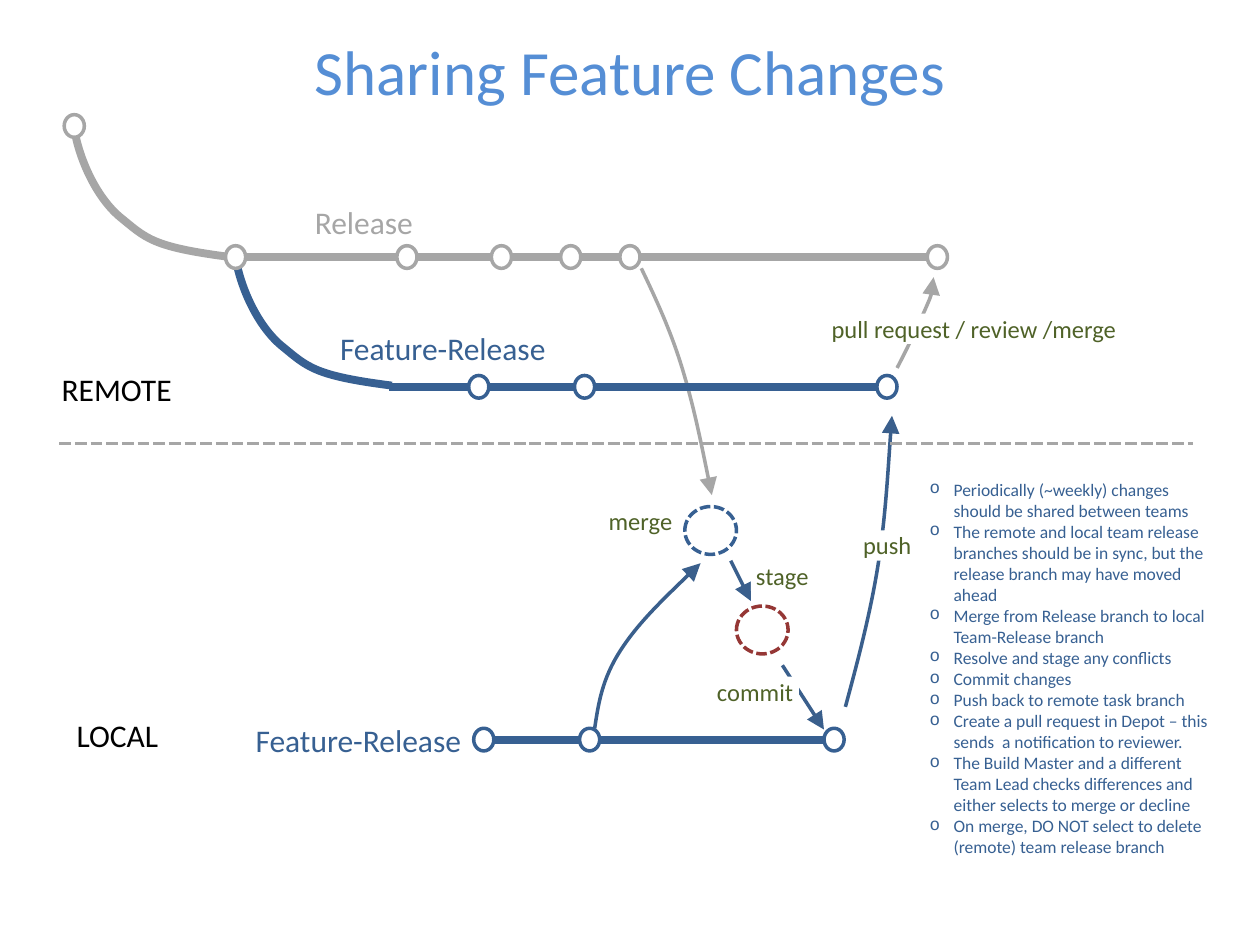
from lxml.etree import SubElement
from pptx import Presentation
from pptx.dml.color import RGBColor
from pptx.enum.dml import MSO_LINE
from pptx.enum.shapes import MSO_CONNECTOR, MSO_SHAPE
from pptx.enum.text import MSO_ANCHOR, PP_ALIGN
from pptx.oxml.ns import qn
from pptx.util import Inches, Pt

FONT = "Calibri"
GRAY, BLUE, ARROW_BLUE, RED = "A6A6A6", "376092", "3A5F8C", "953735"
GREEN, TITLE_BLUE, BLACK, WHITE = "4F6228", "558ED5", "000000", "FFFFFF"

# Content: positions in inches
TITLE = "Sharing Feature Changes"
RELEASE_Y, FEATURE_Y, LOCAL_Y = 2.04, 3.07, 5.87
BRANCHES = [  # y, line spans, commit centres, colour
    (RELEASE_Y, [(1.83, 4.92), (5.08, 7.36)],
     [1.87, 3.23, 3.98, 4.53, 5.0, 7.44], GRAY),
    (FEATURE_Y, [(3.09, 3.85), (3.88, 4.56), (4.72, 6.96)],
     [3.8, 4.64, 7.04], BLUE),
    (LOCAL_Y, [(3.92, 4.6), (4.76, 6.54)], [3.84, 4.68, 6.62], BLUE),
]
FORKS = [(0.59, 1.02, GRAY), (1.87, RELEASE_Y, BLUE)]
FORK_CURVE = [(0, 0), (0.03, 0.21), (0.16, 0.53), (0.36, 0.7),
              (0.57, 0.87), (0.61, 0.94), (1.24, 1.02)]
ARROWS = [  # colour, start point, then Bezier triples or one end point
    (GRAY, [(5.09, 2.13), (5.21, 2.38), (5.33, 2.64), (5.42, 2.94),
            (5.51, 3.24), (5.58, 3.59), (5.65, 3.93)]),
    (ARROW_BLUE, [(4.72, 5.78), (4.75, 5.58), (4.78, 5.39), (4.92, 5.17),
                  (5.06, 4.95), (5.31, 4.71), (5.56, 4.47)]),
    (ARROW_BLUE, [(5.8, 4.45), (5.96, 4.77)]),
    (ARROW_BLUE, [(6.21, 5.28), (6.54, 5.79)]),
    (GRAY, [(7.12, 2.92), (7.23, 2.71), (7.33, 2.49), (7.38, 2.37),
            (7.42, 2.25), (7.42, 2.23), (7.41, 2.2)]),
    (ARROW_BLUE, [(6.71, 5.61), (6.81, 5.24), (6.91, 4.86), (6.97, 4.48),
                  (7.03, 4.09), (7.05, 3.69), (7.08, 3.3)]),
]
STATES = [(5.64, 4.21, BLUE), (6.05, 5.0, RED)]
STEP_LABELS = [
    ("merge", 4.79, 4.02, 0.59), ("stage", 5.96, 4.45, 0.5),
    ("commit", 5.65, 5.37, 0.69), ("push", 6.81, 4.21, 0.47),
    ("pull request / review /merge", 6.56, 2.49, 2.36),
]
BRANCH_LABELS = [
    ("REMOTE", 0.39, 2.89, 1.08, BLACK), ("LOCAL", 0.51, 5.63, 0.86, BLACK),
    ("Release", 2.4, 1.56, 0.99, GRAY),
    ("Feature-Release", 2.6, 2.56, 1.85, BLUE),
    ("Feature-Release", 1.93, 5.67, 1.85, BLUE),
]
NOTES = [
    "Periodically (~weekly) changes should be shared between teams",
    "The remote and local team release branches should be in sync, "
    "but the release branch may have moved ahead",
    "Merge from Release branch to local Team-Release branch",
    "Resolve and stage any conflicts",
    "Commit changes",
    "Push back to remote task branch",
    "Create a pull request in Depot – this sends  a notification to reviewer.",
    "The Build Master and a different Team Lead checks differences and "
    "either selects to merge or decline",
    "On merge, DO NOT select to delete (remote) team release branch",
]


def color(value):
    return RGBColor.from_string(value)


def style_line(shape, line_color, width, dashed=False, arrow=False):
    shape.line.color.rgb = color(line_color)
    shape.line.width = Pt(width)
    if dashed:
        shape.line.dash_style = MSO_LINE.SQUARE_DOT
        # Short dashes
        shape.line._ln.find(qn("a:prstDash")).set("val", "sysDash")
    if arrow:
        SubElement(shape.line._ln, qn("a:tailEnd"),
                   type="triangle", w="lg", len="lg")


def add_line(start, end, line_color, width, dashed=False):
    ends = [Inches(value) for value in (*start, *end)]
    connector = shapes.add_connector(MSO_CONNECTOR.STRAIGHT, *ends)
    style_line(connector, line_color, width, dashed)
    SubElement(connector._element.spPr, qn("a:effectLst"))


def add_curve(points, line_color, width, arrow=False):
    vertices = [(Inches(x), Inches(y)) for x, y in points]
    builder = shapes.build_freeform(*vertices[0])
    builder.add_line_segments(vertices[1:], close=False)
    curve = builder.convert_to_shape()
    # Turn each three line segments into one Bezier segment
    outline = next(curve._element.iter(qn("a:moveTo"))).getparent()
    segments = outline.findall(qn("a:lnTo"))
    for first in range(0, len(segments) - 2, 3):
        bezier = SubElement(outline, qn("a:cubicBezTo"))
        for segment in segments[first:first + 3]:
            bezier.append(segment[0])
            outline.remove(segment)
    curve.shadow.inherit = False
    curve.fill.background()
    style_line(curve, line_color, width, arrow=arrow)


def add_circle(x, y, width, height, line_color, dashed=False):
    circle = shapes.add_shape(
        MSO_SHAPE.OVAL, Inches(x - width / 2), Inches(y - height / 2),
        Inches(width), Inches(height))
    circle.shadow.inherit = False
    circle.fill.solid()
    circle.fill.fore_color.rgb = color(WHITE)
    style_line(circle, line_color, 2, dashed)


def style_text(paragraph, size, text_color):
    for run in paragraph.runs:
        run.font.name, run.font.size = FONT, Pt(size)
        run.font.color.rgb = color(text_color)


def add_text(text, x, y, width, height, size, text_color):
    box = shapes.add_textbox(*map(Inches, (x, y, width, height)))
    box.text_frame.text = text
    for paragraph in box.text_frame.paragraphs:
        style_text(paragraph, size, text_color)
    return box


presentation = Presentation()
presentation.slide_width, presentation.slide_height = Inches(10), Inches(7.5)
slide = presentation.slides.add_slide(presentation.slide_layouts[5])
shapes = slide.shapes

# Title
title = shapes.title
title.left, title.top, title.width, title.height = map(
    Inches, (0.5, 0.21, 9, 1.25))
title.text_frame.text = TITLE
title.text_frame.vertical_anchor = MSO_ANCHOR.TOP
title.text_frame.margin_top = Inches(0.05)
title.text_frame.paragraphs[0].alignment = PP_ALIGN.CENTER
style_text(title.text_frame.paragraphs[0], 36, TITLE_BLUE)

# Arrows between branches and states
for arrow_color, points in ARROWS:
    add_curve(points, arrow_color, 2, arrow=True)
for x, y, state_color in STATES:
    add_circle(x, y, 0.41, 0.38, state_color, dashed=True)

# Divider, branches and commits
add_line((0.47, 3.52), (9.47, 3.52), GRAY, 2.25, dashed=True)
for x, y, fork_color in FORKS:
    add_curve([(x + dx, y + dy) for dx, dy in FORK_CURVE], fork_color, 4.5)
for y, spans, _, branch_color in BRANCHES:
    for start, end in spans:
        add_line((start, y), (end, y), branch_color, 4.5)
commit_nodes = [(FORKS[0][0], 1.0, GRAY)] + [
    (x, y, branch_color) for y, _, commits, branch_color in BRANCHES
    for x in commits]
for x, y, node_color in commit_nodes:
    add_circle(x, y, 0.16, 0.18, node_color)

# Labels
for text, x, y, width, text_color in BRANCH_LABELS:
    add_text(text, x, y, width, 0.4, 18, text_color)
for text, x, y, width in STEP_LABELS:
    label = add_text(text, x, y, width, 0.24, 14, GREEN)
    label.fill.solid()
    label.fill.fore_color.rgb = color(WHITE)
    frame = label.text_frame
    frame.margin_left = frame.margin_right = Inches(0.04)
    frame.margin_top = frame.margin_bottom = 0

# Bulleted notes
notes = add_text("\n".join(NOTES), 7.28, 3.75, 2.49, 3.3, 10, BLUE)
notes.text_frame.word_wrap = True
for paragraph in notes.text_frame.paragraphs:
    properties = paragraph._p.get_or_add_pPr()
    properties.set("marL", str(Inches(0.19)))
    properties.set("indent", str(-Inches(0.19)))
    SubElement(properties, qn("a:buFont"), typeface="Courier New")
    SubElement(properties, qn("a:buChar"), char="o")

presentation.save("out.pptx")
